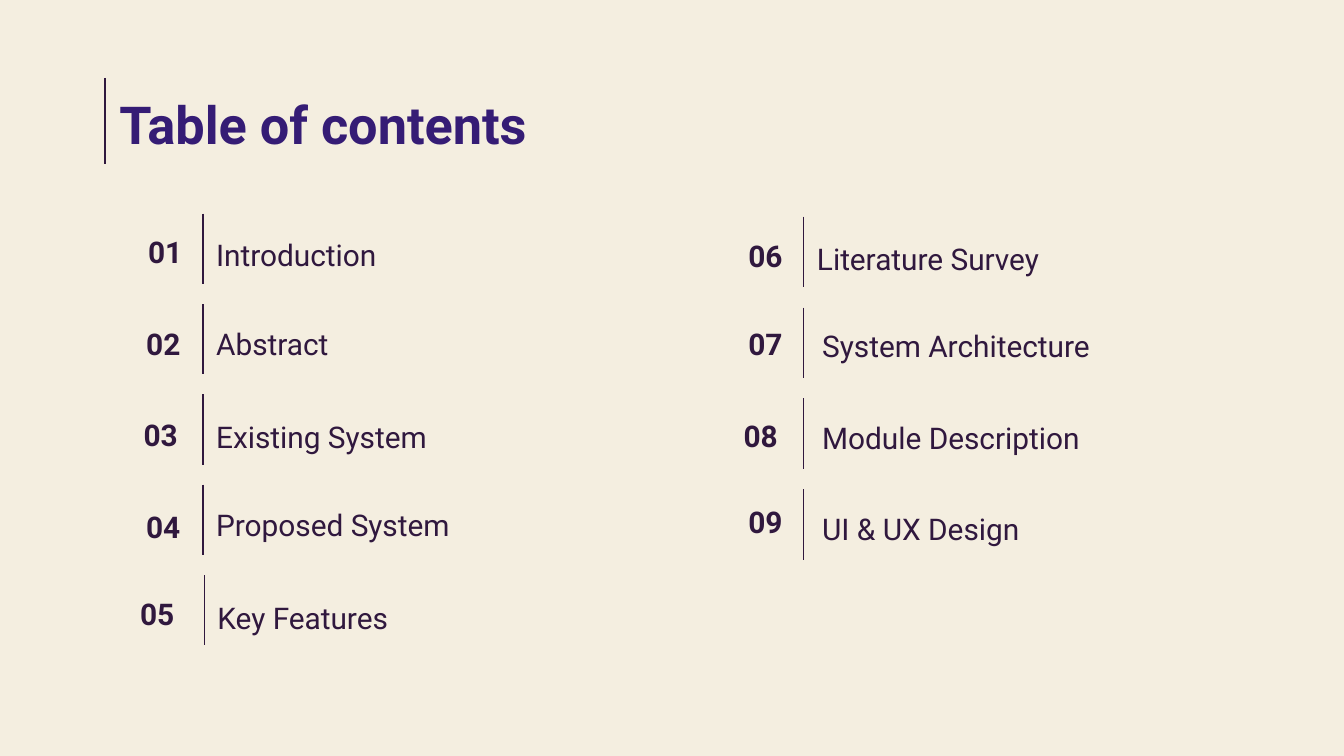
from dataclasses import dataclass

from lxml import etree
from pptx import Presentation
from pptx.dml.color import RGBColor
from pptx.enum import shapes, text
from pptx.oxml.ns import qn
from pptx.util import Pt


@dataclass(frozen=True)
class Theme:
    paper: RGBColor = RGBColor(0xF4, 0xEE, 0xE0)
    ink: RGBColor = RGBColor(0x30, 0x18, 0x3E)
    heading: RGBColor = RGBColor(0x35, 0x1C, 0x75)
    font: str = "Roboto"
    heading_size: float = 28
    entry_size: float = 16
    rule_weight: float = 0.75
    inset: float = 7.2


@dataclass(frozen=True)
class Box:
    left: float
    top: float
    width: float
    height: float


@dataclass(frozen=True)
class Entry:
    """One topic; the number and the topic each have their own offset."""
    topic: str
    number_left: float
    number_top: float
    number_width: float
    topic_left: float
    topic_top: float
    topic_width: float


@dataclass(frozen=True)
class Column:
    first_number: int
    rule_x: float
    first_top: float
    pitch: float
    entries: tuple


THEME = Theme()
RULE_HEIGHT = 37.7
NUMBER_HEIGHT = 33.8
TOPIC_HEIGHT = 45.4

COLUMNS = (
    Column(1, 108.7, 114.5, 48.4, (
        Entry("Introduction", 68.4, 118.1, 40.3, 108.7, 112.3, 159.1),
        Entry("Abstract", 68.4, 167, 38.2, 108.7, 159.8, 252.7),
        Entry("Existing System", 68.4, 216, 35.3, 108.7, 209.5, 159.1),
        Entry("Proposed System", 69.8, 265, 35.3, 108.7, 257, 252.7),
        Entry("Key Features", 64.1, 311.8, 40.3, 109.4, 306.7, 159.1),
    )),
    Column(6, 430.6, 116.1, 48.7, (
        Entry("Literature Survey", 392.4, 120.2, 35.3, 430.6, 114.5, 220.3),
        Entry("System Architecture", 392.4, 167, 35.3, 433.4, 161.3, 214.6),
        Entry("Module Description", 387.4, 216.7, 40.3, 433.4, 210.2, 252.7),
        Entry("UI & UX Design", 392.4, 262.8, 35.3, 433.4, 259.2, 204.5),
    )),
)


def add_rule(slide, x: float, top: float, height: float) -> None:
    rule = slide.shapes.add_connector(
        shapes.MSO_CONNECTOR.STRAIGHT, Pt(x), Pt(top), Pt(x), Pt(top + height))
    rule.line.color.rgb = THEME.ink
    rule.line.width = Pt(THEME.rule_weight)
    etree.SubElement(rule._element.spPr, qn("a:effectLst"))


def add_text(slide, box: Box, words: str, size: float = THEME.entry_size,
             color: RGBColor = THEME.ink, bold: bool = False,
             align=text.PP_ALIGN.LEFT, anchor=text.MSO_ANCHOR.MIDDLE,
             spacing: float = 1.0) -> None:
    frame = slide.shapes.add_textbox(
        Pt(box.left), Pt(box.top), Pt(box.width), Pt(box.height)).text_frame
    frame_format = {"word_wrap": True, "vertical_anchor": anchor}
    for side in ("left", "top", "right", "bottom"):
        frame_format[f"margin_{side}"] = Pt(THEME.inset)
    for name, value in frame_format.items():
        setattr(frame, name, value)

    paragraph = frame.paragraphs[0]
    paragraph.alignment = align
    paragraph.line_spacing = spacing
    run = paragraph.add_run()
    run.text = words
    for name, value in {"name": THEME.font, "size": Pt(size), "bold": bold}.items():
        setattr(run.font, name, value)
    run.font.color.rgb = color


def add_column(slide, column: Column) -> None:
    for row, entry in enumerate(column.entries):
        # The rule keeps to the topic's edge unless the topic is set further in
        rule_x = entry.topic_left if column.first_number == 1 else column.rule_x
        add_rule(slide, rule_x, column.first_top + row * column.pitch, RULE_HEIGHT)
        add_text(slide, Box(entry.number_left, entry.number_top,
                            entry.number_width, NUMBER_HEIGHT),
                 f"{column.first_number + row:02d}", bold=True,
                 align=text.PP_ALIGN.CENTER)
        add_text(slide, Box(entry.topic_left, entry.topic_top,
                            entry.topic_width, TOPIC_HEIGHT),
                 entry.topic, spacing=1.15)


def main() -> None:
    deck = Presentation()
    deck.slide_width, deck.slide_height = Pt(720), Pt(405)
    slide = deck.slides.add_slide(deck.slide_layouts[6])
    slide.background.fill.solid()
    slide.background.fill.fore_color.rgb = THEME.paper

    # Heading
    add_rule(slide, 56.2, 41.8, 46)
    add_text(slide, Box(56.9, 42.5, 607, 45.4), "Table of contents",
             size=THEME.heading_size, color=THEME.heading, bold=True,
             anchor=text.MSO_ANCHOR.TOP)

    # Contents
    for column in COLUMNS:
        add_column(slide, column)

    deck.save("out.pptx")


if __name__ == "__main__":
    main()
